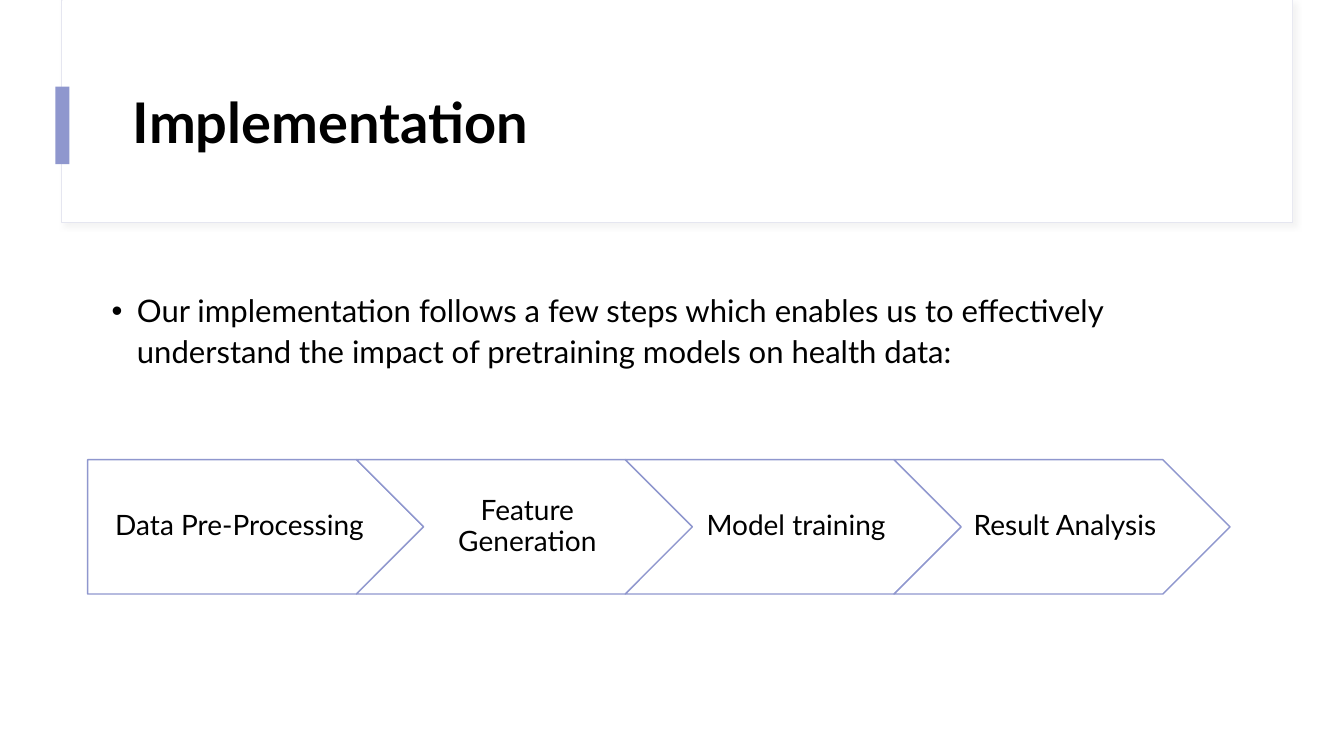
from pptx import Presentation
from pptx.dml.color import RGBColor
from pptx.enum.shapes import MSO_SHAPE
from pptx.enum.text import MSO_ANCHOR, MSO_AUTO_SIZE, PP_ALIGN
from pptx.oxml import parse_xml
from pptx.oxml.ns import nsdecls
from pptx.util import Pt

COLORS = {
    "ink": "000000",
    "paper": "FFFFFF",
    "accent": "8F97CE",
    "frame": "E5E6F0",
    "shade": "D9D9D9",
}
FONT = "Lato"
STEPS = ["Data Pre-Processing ", "Feature Generation", "Model training", "Result Analysis"]


def color(name):
    return RGBColor.from_string(COLORS[name])


def place(item, box):
    item.left, item.top, item.width, item.height = map(Pt, box)


def write(item, text, size, bold=False, align=PP_ALIGN.LEFT, anchor=MSO_ANCHOR.TOP,
          lines=0.9, before=0, inset=(7.2, 3.6, 7.2, 3.6), bullet=None, indent=18):
    frame = item.text_frame
    frame.word_wrap = True
    frame.auto_size = MSO_AUTO_SIZE.NONE
    frame.vertical_anchor = anchor
    frame.margin_left, frame.margin_top, frame.margin_right, frame.margin_bottom = map(Pt, inset)
    para = frame.paragraphs[0]
    para.alignment = align
    para.line_spacing = lines
    para.space_before = Pt(before)
    run = para.add_run()
    run.text = text
    run.font.name = FONT
    run.font.size = Pt(size)
    run.font.bold = bold
    run.font.color.rgb = color("ink")
    if bullet:
        props = para._p.get_or_add_pPr()
        props.set("marL", str(Pt(indent)))
        props.set("indent", str(-Pt(indent)))
        props.append(parse_xml(f'<a:buFont {nsdecls("a")} typeface="Arial"/>'))
        props.append(parse_xml(f'<a:buChar {nsdecls("a")} char="{bullet}"/>'))


def add_box(slide, box, fill, line=None, width=1, kind=MSO_SHAPE.RECTANGLE):
    shape = slide.shapes.add_shape(kind, *map(Pt, box))
    shape.shadow.inherit = False
    shape.fill.solid()
    shape.fill.fore_color.rgb = color(fill)
    if line:
        shape.line.color.rgb = color(line)
        shape.line.width = Pt(width)
    else:
        shape.line.fill.background()
    return shape


def add_text(slide, box, text, size, **form):
    write(slide.shapes.add_textbox(*map(Pt, box)), text, size, **form)


def add_shade(shape):
    props = shape._element.spPr
    props.remove(props.find("{*}effectLst"))
    props.append(parse_xml(
        f'<a:effectLst {nsdecls("a")}>'
        f'<a:outerShdw blurRad="{Pt(4)}" dist="{Pt(3)}" dir="2700000" algn="tl" rotWithShape="0">'
        f'<a:srgbClr val="{COLORS["shade"]}"><a:alpha val="30000"/></a:srgbClr>'
        '</a:outerShdw></a:effectLst>'))


def add_head(slide, text):
    add_shade(add_box(slide, (43.9, 0, 879.1, 159.1), "paper", "frame", 0.75))
    add_box(slide, (44.6, 0, 878.4, 158.4), "paper")
    add_box(slide, (39.6, 61.9, 10.1, 55.4), "accent")
    title = slide.shapes.title
    slide.shapes._spTree.append(title._element)
    place(title, (87.8, 43.2, 800.6, 92.9))
    write(title, text, 40, bold=True, anchor=MSO_ANCHOR.MIDDLE)


def add_steps(slide, names, left=62.6, top=328.3, width=240, height=96):
    point = height / 2
    for index, name in enumerate(names):
        x = left + index * (width - point)
        first = index == 0
        kind = MSO_SHAPE.PENTAGON if first else MSO_SHAPE.CHEVRON
        add_box(slide, (x, top, width, height), "paper", "accent", kind=kind)
        start = x if first else x + point
        room = width - point / 2 if first else width - 2 * point
        add_text(slide, (start, top, room, height), name, 20,
                 align=PP_ALIGN.CENTER, anchor=MSO_ANCHOR.MIDDLE,
                 inset=(8.4 if first else 6.3, 4.2, 2.1, 4.2))


def main():
    deck = Presentation()
    deck.slide_width, deck.slide_height = Pt(960), Pt(540)
    slide = deck.slides.add_slide(deck.slide_layouts[5])
    add_head(slide, "Implementation")
    add_steps(slide, STEPS)
    add_text(slide, (72.7, 202.3, 810, 90.7),
             "Our implementation follows a few steps which enables us to effectively "
             "understand the impact of pretraining models on health data:",
             22.2, lines=1.1, before=10, bullet="•")
    deck.save("out.pptx")


if __name__ == "__main__":
    main()
